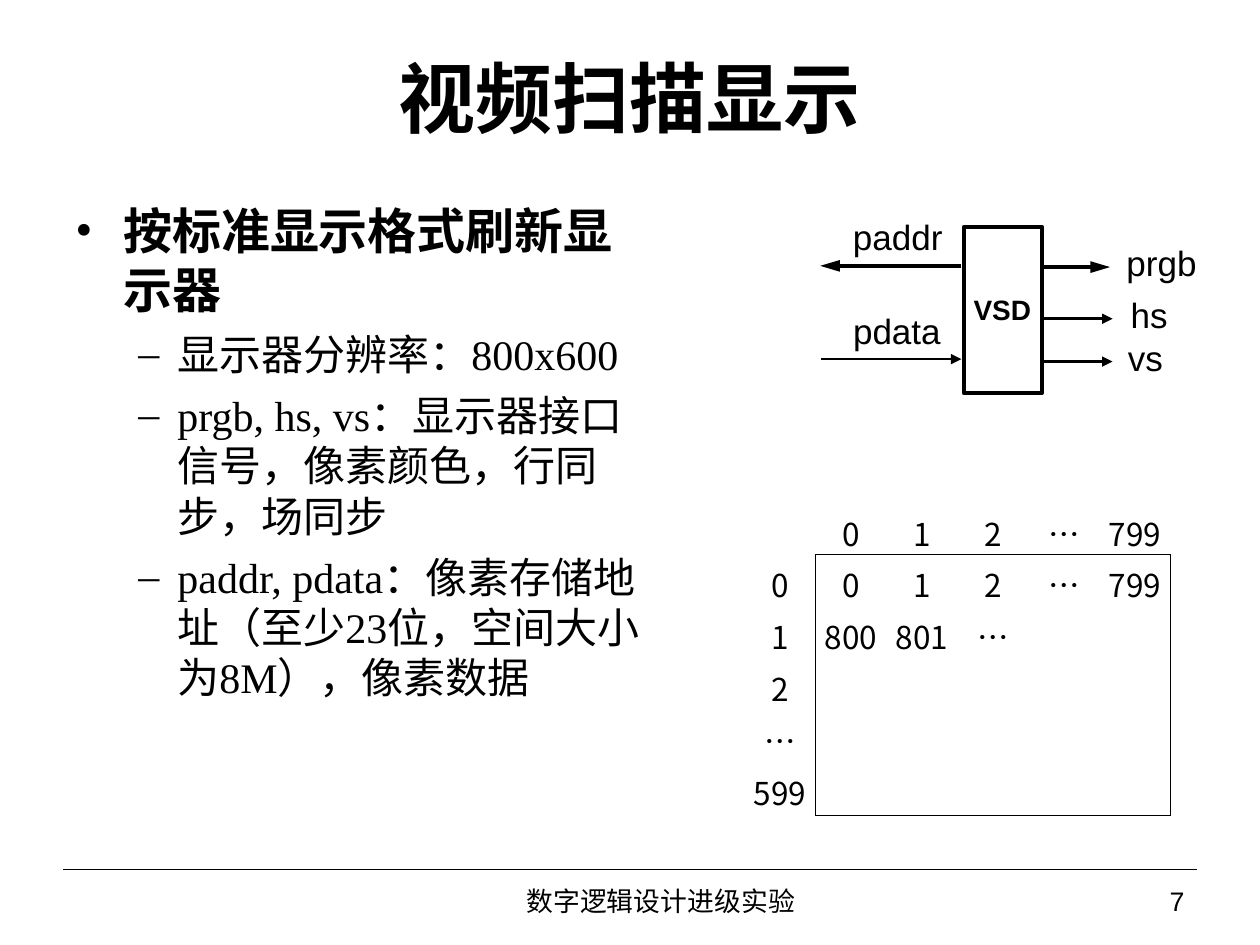
from dataclasses import dataclass

from pptx import Presentation
from pptx.dml.color import RGBColor
from pptx.enum.shapes import MSO_CONNECTOR, MSO_SHAPE
from pptx.enum.text import MSO_ANCHOR, MSO_AUTO_SIZE, PP_ALIGN
from pptx.oxml.xmlchemy import OxmlElement
from pptx.util import Inches, Pt

STRAIGHT = MSO_CONNECTOR.STRAIGHT
RECTANGLE = MSO_SHAPE.RECTANGLE
TOP, MIDDLE = MSO_ANCHOR.TOP, MSO_ANCHOR.MIDDLE
LEFT, CENTER, RIGHT = PP_ALIGN.LEFT, PP_ALIGN.CENTER, PP_ALIGN.RIGHT
FIT_SHAPE = MSO_AUTO_SIZE.SHAPE_TO_FIT_TEXT


@dataclass(frozen=True)
class Theme:
    ink: str = "000000"
    paper: str = "FFFFFF"
    serif: str = "Times New Roman"
    sans: str = "Arial"
    cjk: str = "Noto Sans CJK SC"
    title: float = 44
    topic: float = 28
    detail: float = 24
    signal: float = 20
    grid: float = 18
    module: float = 16
    footer: float = 15.3
    thick: float = 2.25
    medium: float = 1.5
    thin: float = 0.75
    border: float = 0.45


THEME = Theme()
INK = RGBColor.from_string(THEME.ink)
PAPER = RGBColor.from_string(THEME.paper)


@dataclass(frozen=True)
class Label:
    text: str
    box: tuple
    size: float
    font: str = THEME.sans
    bold: bool = False
    align: PP_ALIGN = LEFT
    anchor: MSO_ANCHOR = MIDDLE
    inset: tuple = (0, 0)
    wrap: bool = False
    spacing: float = 1.0


@dataclass(frozen=True)
class Arrow:
    start: tuple
    end: tuple
    width: float
    head_length: str = ""


@dataclass(frozen=True)
class Point:
    text: str
    level: int
    size: float
    bold: bool
    bullet: str
    margin: float
    hanging: float


FOOTER = {"size": THEME.footer, "inset": (0.1, 0.05), "wrap": True, "spacing": 0.9}
DETAIL = {"level": 1, "size": THEME.detail, "bold": False, "bullet": "–",
          "margin": 0.81, "hanging": 0.31}

PAGE_LABELS = [
    Label("视频扫描显示", (0.5, 0.3, 9, 0.93), THEME.title, THEME.serif, True,
          CENTER, inset=(0.1, 0.05), wrap=True),
    Label("7", (7.75, 6.98, 1.75, 0.37), align=RIGHT, **FOOTER),
    Label("数字逻辑设计进级实验", (2.83, 6.98, 4.83, 0.37), align=CENTER, **FOOTER),
]
POINTS = [
    Point("按标准显示格式刷新显示器", 0, THEME.topic, True, "•", 0.38, 0.38),
    Point("显示器分辨率：800x600", **DETAIL),
    Point("prgb, hs, vs：显示器接口信号，像素颜色，行同步，场同步", **DETAIL),
    Point("paddr, pdata：像素存储地址（至少23位，空间大小为8M），像素数据", **DETAIL),
]
MODULE_BOX = (7.65, 1.8, 0.62, 1.32)
MODULE_LABELS = [
    Label("VSD", (7.63, 2.27, 0.65, 0.37), THEME.module, bold=True, align=CENTER,
          anchor=TOP, inset=(0, 0.05)),
    Label("prgb", (8.94, 1.92, 0.56, 0.33), THEME.signal),
    Label("hs", (8.92, 2.33, 0.4, 0.34), THEME.signal, align=CENTER),
    Label("vs", (8.89, 2.67, 0.4, 0.34), THEME.signal, align=CENTER),
    Label("paddr", (6.77, 1.71, 0.73, 0.33), THEME.signal),
    Label("pdata", (6.77, 2.46, 0.71, 0.33), THEME.signal),
]
DIVIDER = Arrow((0.5, 6.9), (9.5, 6.9), THEME.thin)
SIGNALS = [
    Arrow((8.26, 2.12), (8.81, 2.12), THEME.thick, "lg"),
    Arrow((8.28, 2.53), (8.83, 2.53), THEME.medium, "med"),
    Arrow((8.28, 2.87), (8.83, 2.87), THEME.medium, "med"),
    Arrow((7.63, 2.11), (6.51, 2.11), THEME.thick, "lg"),
    Arrow((6.52, 2.85), (7.63, 2.85), THEME.medium, "med"),
]
PIXELS = [
    ["", "0", "1", "2", "…", "799"],
    ["0", "0", "1", "2", "…", "799"],
    ["1", "800", "801", "…", "", ""],
    ["2", "", "", "", "", ""],
    ["…", "", "", "", "", ""],
    ["599", "", "", "", "", ""],
]


def inches(values: tuple) -> list:
    return [Inches(value) for value in values]


def add_element(parent, tag: str, **attributes):
    element = OxmlElement(tag)
    for name, value in attributes.items():
        element.set(name, str(value))
    parent.append(element)
    return element


def apply_format(target, values: dict) -> None:
    for name, value in values.items():
        setattr(target, name, value)


def write_run(paragraph, text: str, size: float, font: str, bold: bool = False) -> None:
    run = paragraph.add_run()
    run.text = text
    apply_format(run.font, {"size": Pt(size), "name": font, "bold": bold})
    run.font.color.rgb = INK
    add_element(run.font._element, "a:ea", typeface=THEME.cjk)


def draw_label(slide, label: Label) -> None:
    frame = slide.shapes.add_textbox(*inches(label.box)).text_frame
    side, edge = inches(label.inset)
    apply_format(frame, {
        "margin_left": side, "margin_right": side, "margin_top": edge,
        "margin_bottom": edge, "vertical_anchor": label.anchor, "word_wrap": label.wrap,
    })
    if not label.wrap:
        frame.auto_size = FIT_SHAPE
    paragraph = frame.paragraphs[0]
    apply_format(paragraph, {"alignment": label.align, "line_spacing": label.spacing})
    write_run(paragraph, label.text, label.size, label.font, label.bold)


def draw_points(slide, points: list) -> None:
    frame = slide.shapes.add_textbox(*inches((0.5, 1.54, 4.74, 5.35))).text_frame
    frame.word_wrap = True
    for index, point in enumerate(points):
        paragraph = frame.add_paragraph() if index else frame.paragraphs[0]
        properties = paragraph._p.get_or_add_pPr()
        properties.set("marL", str(Inches(point.margin)))
        properties.set("indent", str(-Inches(point.hanging)))
        properties.set("hangingPunct", "0")
        color = add_element(properties, "a:buClr")
        add_element(color, "a:srgbClr", val=THEME.ink)
        add_element(properties, "a:buFont", typeface=THEME.serif)
        add_element(properties, "a:buChar", char=point.bullet)
        apply_format(paragraph, {"level": point.level, "space_after": Pt(6)})
        write_run(paragraph, point.text, point.size, THEME.serif, point.bold)


def draw_arrow(slide, arrow: Arrow) -> None:
    connector = slide.shapes.add_connector(STRAIGHT, *inches(arrow.start + arrow.end))
    connector.line.color.rgb = INK
    connector.line.width = Pt(arrow.width)
    if arrow.head_length:
        add_element(connector.line._get_or_add_ln(), "a:tailEnd",
                    type="triangle", w="med", len=arrow.head_length)
    add_element(connector._element.spPr, "a:effectLst")


def draw_module(slide) -> None:
    module = slide.shapes.add_shape(RECTANGLE, *inches(MODULE_BOX))
    module.shadow.inherit = False
    module.fill.background()
    module.line.color.rgb = INK
    module.line.width = Pt(THEME.thick)


def draw_border(cell, side: str, visible: bool) -> None:
    line = add_element(cell._tc.get_or_add_tcPr(), f"a:ln{side}", w=Pt(THEME.border))
    if visible:
        add_element(add_element(line, "a:solidFill"), "a:srgbClr", val=THEME.ink)
    else:
        add_element(line, "a:noFill")


def draw_pixel_table(slide) -> None:
    last = len(PIXELS) - 1
    size = last + 1
    width, height, header = 3.38, 2.47, 0.4
    table = slide.shapes.add_table(size, size, *inches((5.91, 4, width, height))).table
    apply_format(table, {"first_row": False, "horz_banding": False})
    for index in range(size):
        table.columns[index].width = Inches(width / size)
        table.rows[index].height = Inches((height - header) / last if index else header)
    for row, values in enumerate(PIXELS):
        for column, value in enumerate(values):
            cell = table.cell(row, column)
            apply_format(cell, {
                "margin_left": Inches(0.01), "margin_right": Inches(0.01),
                "margin_top": Inches(0.05), "margin_bottom": 0,
                "vertical_anchor": MIDDLE,
            })
            draw_border(cell, "L", row > 0 and column == 1)
            draw_border(cell, "R", row > 0 and column in (0, last))
            draw_border(cell, "T", column > 0 and row == 1)
            draw_border(cell, "B", column > 0 and row in (0, last))
            if row and column:
                cell.fill.solid()
                cell.fill.fore_color.rgb = PAPER
            else:
                cell.fill.background()
            if value:
                paragraph = cell.text_frame.paragraphs[0]
                paragraph.alignment = CENTER
                write_run(paragraph, value, THEME.grid, THEME.cjk)


def main() -> None:
    deck = Presentation()
    apply_format(deck, {"slide_width": Inches(10), "slide_height": Inches(7.5)})
    slide = deck.slides.add_slide(deck.slide_layouts[6])
    draw_points(slide, POINTS)
    draw_module(slide)
    for arrow in [DIVIDER, *SIGNALS]:
        draw_arrow(slide, arrow)
    for label in PAGE_LABELS + MODULE_LABELS:
        draw_label(slide, label)
    draw_pixel_table(slide)
    deck.save("out.pptx")


if __name__ == "__main__":
    main()
